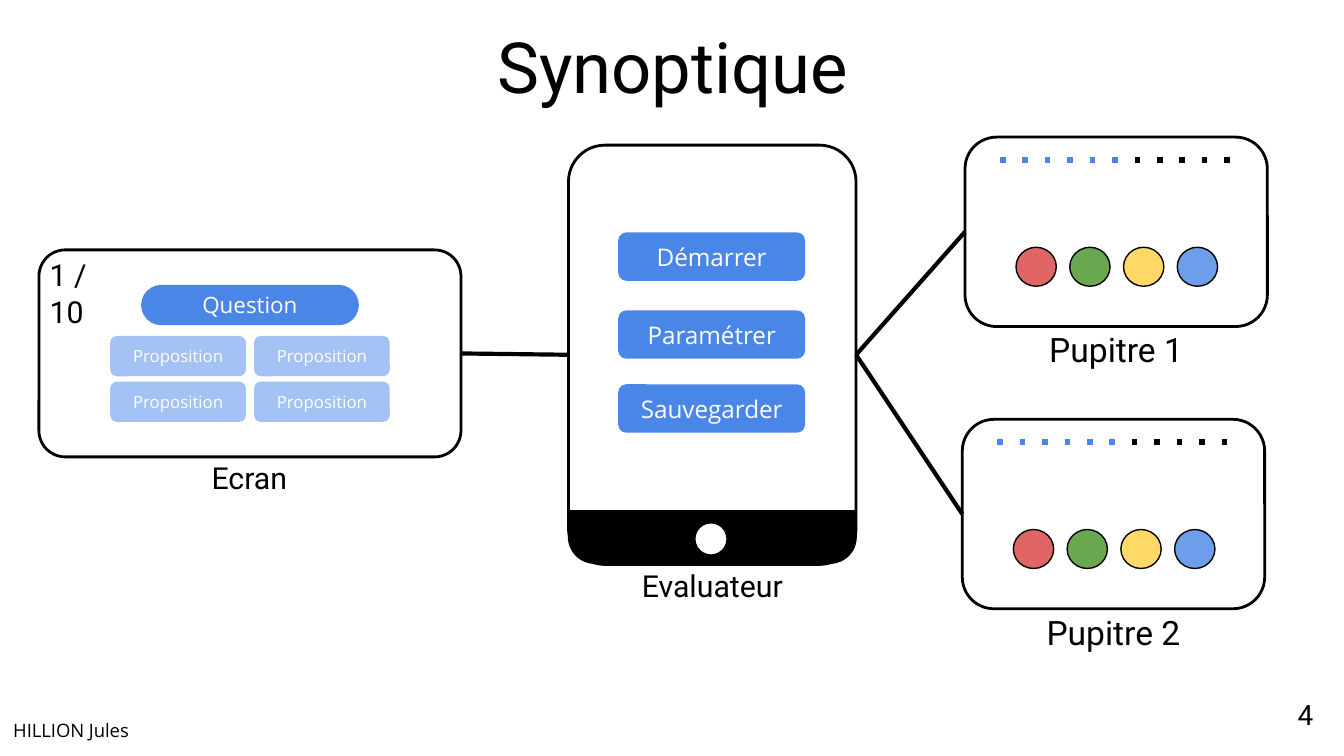
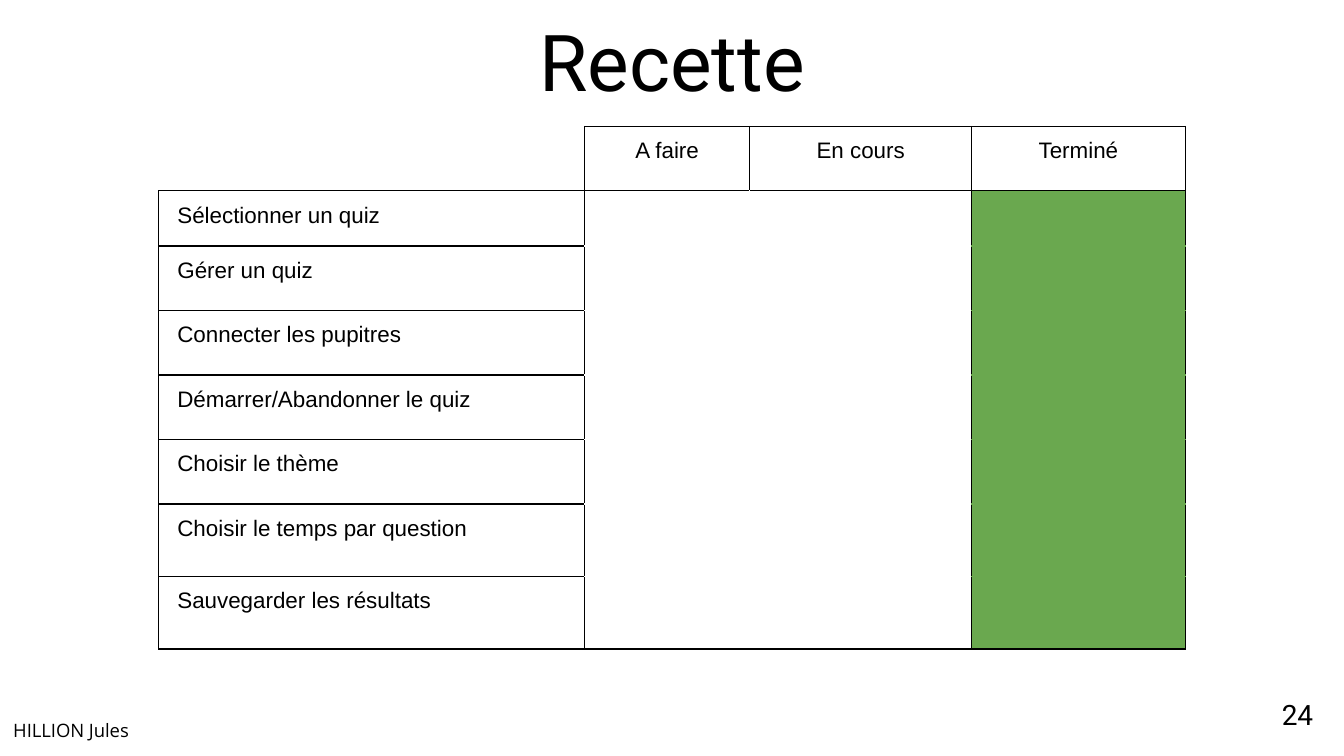
from dataclasses import dataclass
from lxml.etree import SubElement
from pptx import Presentation
from pptx.dml.color import RGBColor
from pptx.enum.shapes import MSO_CONNECTOR, MSO_SHAPE
from pptx.enum.dml import MSO_LINE
from pptx.enum.text import MSO_ANCHOR, MSO_AUTO_SIZE, PP_ALIGN
from pptx.oxml.ns import qn
from pptx.util import Inches, Pt


@dataclass(frozen=True)
class Theme:
    black: str = "000000"
    white: str = "FFFFFF"
    blue: str = "4A86E8"
    pale_blue: str = "A4C2F4"
    green: str = "6AA84F"
    heading: str = "Roboto"
    body: str = "Open Sans"
    grid: str = "Arial"
    caption: float = 16.2
    desk_caption: float = 18
    button: float = 13
    question: float = 12
    answer: float = 9
    cell: float = 12
    footer: float = 9.9
    number: float = 15
    outline: float = 1.5
    thin: float = 0.75
    link: float = 2.25
    dots: float = 3


T = Theme()

# Content
AUTHOR = "HILLION Jules"
BUTTONS = [("Démarrer", 1.73), ("Paramétrer", 2.31), ("Sauvegarder", 2.86)]
ANSWERS = [["Proposition", "Proposition"], ["Proposition", "Proposition"]]
DESKS = [("Pupitre 1", 7.18, 1.02), ("Pupitre 2", 7.16, 3.12)]
DESK_KEYS = ["E06666", T.green, "FFD966", "6D9EEB"]
STATES = ["A faire", "En cours", "Terminé"]
TASKS = [
    "Sélectionner un quiz",
    "Gérer un quiz",
    "Connecter les pupitres",
    "Démarrer/Abandonner le quiz",
    "Choisir le thème",
    "Choisir le temps par question",
    "Sauvegarder les résultats",
]
COL_WIDTHS = [3.17, 1.23, 1.65, 1.59]
ROW_HEIGHTS = [0.48, 0.41, 0.48, 0.48, 0.48, 0.48, 0.54, 0.54]


def rgb(value):
    return RGBColor.from_string(value)


def set_font(p, size, name, color=T.black):
    p.font.size = Pt(size)
    p.font.name = name
    p.font.color.rgb = rgb(color)


def write(sp, text, size, name, color=T.black, align=PP_ALIGN.CENTER,
          anchor=MSO_ANCHOR.TOP):
    tf = sp.text_frame
    tf.word_wrap = True
    tf.auto_size = MSO_AUTO_SIZE.NONE
    tf.vertical_anchor = anchor
    tf.margin_left = tf.margin_right = Inches(0.1)
    tf.margin_top = tf.margin_bottom = Inches(0.1)
    p = tf.paragraphs[0]
    p.text = text
    p.alignment = align
    set_font(p, size, name, color)
    return p


def add_text(s, box, text, size, name=T.heading, **options):
    return write(s.shapes.add_textbox(*map(Inches, box)), text, size, name, **options)


def add_box(s, kind, box, fill=None, line=None, adj=()):
    sp = s.shapes.add_shape(kind, *map(Inches, box))
    sp.shadow.inherit = False
    for i, value in enumerate(adj):
        sp.adjustments[i] = value
    if fill:
        sp.fill.solid()
        sp.fill.fore_color.rgb = rgb(fill)
    else:
        sp.fill.background()
    if line:
        sp.line.color.rgb = rgb(T.black)
        sp.line.width = Pt(line)
    else:
        sp.line.fill.background()
    return sp


def add_button(s, box, text, size, fill=T.blue, adj=0.167):
    sp = add_box(s, MSO_SHAPE.ROUNDED_RECTANGLE, box, fill, adj=[adj])
    write(sp, text, size, T.body, T.white, anchor=MSO_ANCHOR.MIDDLE)


def add_line(s, x1, y1, x2, y2, width, color=T.black):
    cx = s.shapes.add_connector(MSO_CONNECTOR.STRAIGHT, *map(Inches, (x1, y1, x2, y2)))
    cx.line.color.rgb = rgb(color)
    cx.line.width = Pt(width)
    SubElement(cx._element.spPr, qn("a:effectLst"))
    return cx


def add_dots(s, x, y, length, color):
    cx = add_line(s, x, y, x + length, y, T.dots, color)
    cx.line.dash_style = MSO_LINE.ROUND_DOT
    cx._element.spPr.find(qn("a:ln")).find(qn("a:prstDash")).set("val", "dot")


def join(s, start, end):
    """Link the right side of one frame to the left side of another."""
    cx = add_line(s, 0, 0, 1, 1, T.link)
    cx.begin_connect(start, 3)
    cx.end_connect(end, 1)


def new_slide(prs, title, box, size, anchor, number):
    s = prs.slides.add_slide(prs.slide_layouts[5])
    sp = s.shapes.title
    sp.left, sp.top, sp.width, sp.height = map(Inches, box)
    write(sp, title, size, T.heading, anchor=anchor)
    add_text(s, (9.27, 5.1, 0.6, 0.43), str(number), T.number,
             align=PP_ALIGN.RIGHT, anchor=MSO_ANCHOR.MIDDLE)
    p = add_text(s, (0, 5.26, 1.81, 0.36), AUTHOR, T.footer, T.body, align=PP_ALIGN.LEFT)
    p.line_spacing = 0.95
    p.space_after = Pt(12)
    return s


# Overview parts
def add_screen(s):
    frame = add_box(s, MSO_SHAPE.ROUNDED_RECTANGLE, (0.29, 1.86, 3.14, 1.54),
                    line=T.outline, adj=[0.127])
    add_text(s, (0.27, 1.81, 0.71, 0.44), "1 / 10", T.caption, align=PP_ALIGN.LEFT)
    add_button(s, (1.05, 2.12, 1.62, 0.3), "Question", T.question, adj=0.5)
    for row, answers in enumerate(ANSWERS):
        for col, answer in enumerate(answers):
            add_button(s, (0.82 + 1.07 * col, 2.5 + 0.34 * row, 1.01, 0.3),
                       answer, T.answer, T.pale_blue)
    add_text(s, (1.28, 3.32, 1.15, 0.44), "Ecran", T.caption)
    return frame


def add_tablet(s):
    x, w = 4.23, 2.14
    frame = add_box(s, MSO_SHAPE.ROUNDED_RECTANGLE, (x, 1.08, w, 3.12),
                    line=T.outline, adj=[0.127])
    band = add_box(s, MSO_SHAPE.ROUND_2_SAME_RECTANGLE, (x, 3.8, w, 0.39),
                   T.black, T.thin, [0.5, 0])
    band.rotation = 180
    add_box(s, MSO_SHAPE.OVAL, (5.17, 3.89, 0.24, 0.24), T.white, T.thin)
    for text, y in BUTTONS:
        add_button(s, (4.6, y, 1.39, 0.36), text, T.button)
    add_text(s, (4.67, 4.12, 1.26, 0.43), "Evaluateur", T.caption)
    return frame


def add_desk(s, name, x, y):
    frame = add_box(s, MSO_SHAPE.ROUNDED_RECTANGLE, (x, y, 2.25, 1.41),
                    line=T.outline, adj=[0.167])
    for i, color in enumerate(DESK_KEYS):
        add_box(s, MSO_SHAPE.OVAL, (x + 0.38 + 0.4 * i, y + 0.82, 0.3, 0.29),
                color, T.thin)
    add_dots(s, x + 0.26, y + 0.17, 1.77, T.black)
    add_dots(s, x + 0.26, y + 0.17, 0.88, T.blue)
    add_text(s, (x + 0.36, y + 1.33, 1.53, 0.52), name, T.desk_caption)
    return frame


# Acceptance table
def cell_edges(row, col):
    """Colours of the left, right, top and bottom borders."""
    if row == col == 0:
        return T.white, T.black, T.white, T.black
    if row == 0 or col == 0:
        return (T.black,) * 4
    done = col == len(STATES)
    inner = T.green if done else T.white
    return (
        T.black if col == 1 or done else T.white,
        T.black if col >= len(STATES) - 1 else T.white,
        T.black if row == 1 else inner,
        T.black if row == len(TASKS) else inner,
    )


def format_cell(cell, row, col, text):
    cell.margin_left = cell.margin_right = Inches(0.14)
    cell.margin_top = cell.margin_bottom = Inches(0.06)
    tc_pr = cell._tc.get_or_add_tcPr()
    for side, color in zip("LRTB", cell_edges(row, col)):
        ln = SubElement(tc_pr, qn(f"a:ln{side}"), w=str(Pt(T.thin)))
        SubElement(SubElement(ln, qn("a:solidFill")), qn("a:srgbClr"), val=color)
    if row and col == len(STATES):
        cell.fill.solid()
        cell.fill.fore_color.rgb = rgb(T.green)
    else:
        cell.fill.background()
    p = cell.text_frame.paragraphs[0]
    if text:
        p.text = text
        p.alignment = PP_ALIGN.LEFT if row else PP_ALIGN.CENTER
        p.line_spacing = 1.15
        p.space_after = Pt(12)
    set_font(p, T.cell, T.grid)


def add_progress_table(s):
    rows = [["", *STATES]] + [[task] + [""] * len(STATES) for task in TASKS]
    box = (1.18, 0.94, sum(COL_WIDTHS), sum(ROW_HEIGHTS))
    table = s.shapes.add_table(len(rows), len(COL_WIDTHS), *map(Inches, box)).table
    table.first_row = table.horz_banding = False
    for column, width in zip(table.columns, COL_WIDTHS):
        column.width = Inches(width)
    for r, (texts, height) in enumerate(zip(rows, ROW_HEIGHTS)):
        table.rows[r].height = Inches(height)
        for c, text in enumerate(texts):
            format_cell(table.cell(r, c), r, c, text)


def main():
    # Widescreen, 16:9
    prs = Presentation()
    prs.slide_width = Inches(10)
    prs.slide_height = prs.slide_width * 9 // 16

    # Overview
    s = new_slide(prs, "Synoptique", (0.85, 0, 8.31, 0.9), 37.8, MSO_ANCHOR.BOTTOM, 4)
    screen = add_screen(s)
    tablet = add_tablet(s)
    join(s, screen, tablet)
    for desk in DESKS:
        join(s, tablet, add_desk(s, *desk))

    # Acceptance
    s = new_slide(prs, "Recette", (1.07, 0, 7.86, 0.91), 42, MSO_ANCHOR.TOP, 24)
    add_progress_table(s)

    prs.save("out.pptx")


if __name__ == "__main__":
    main()
